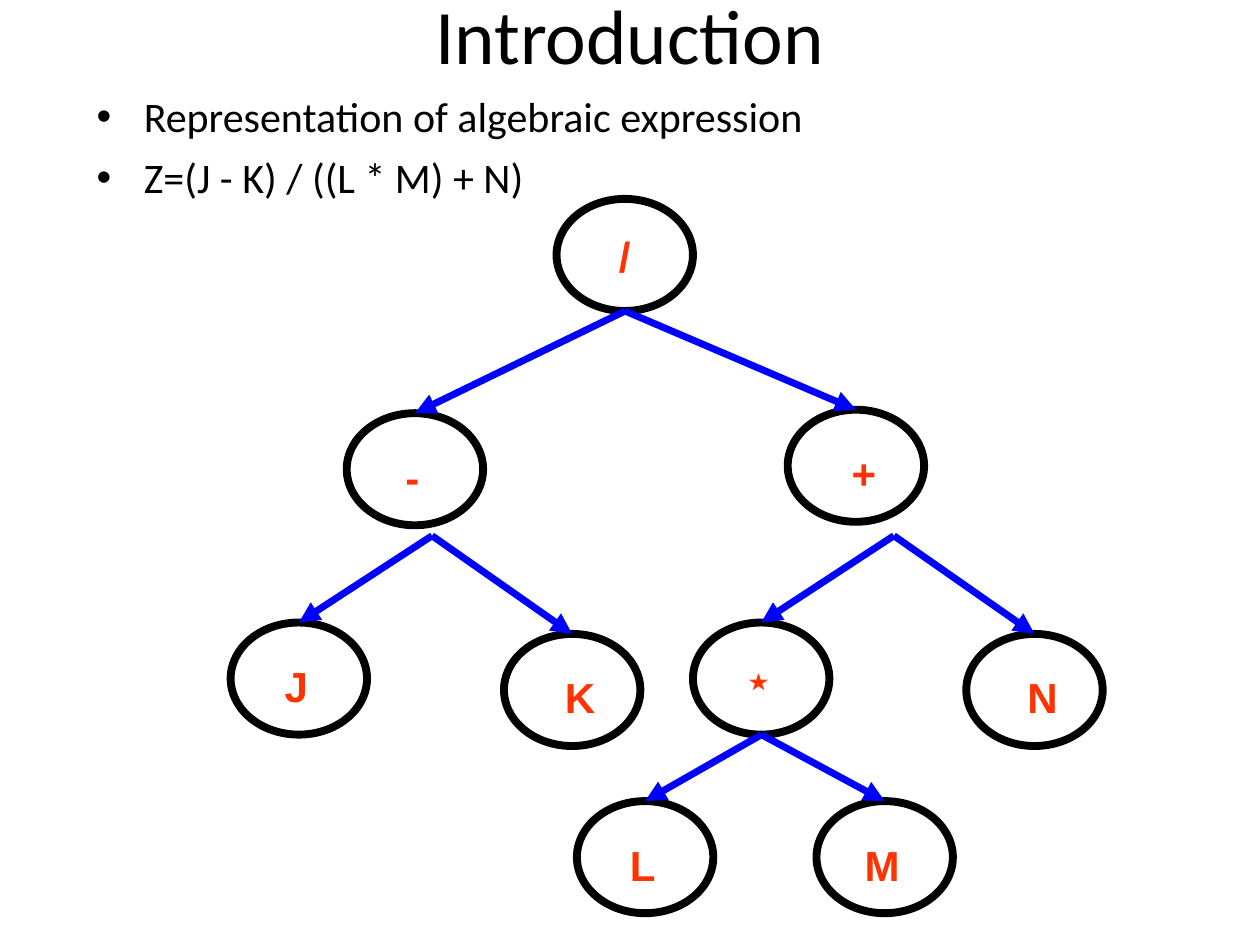
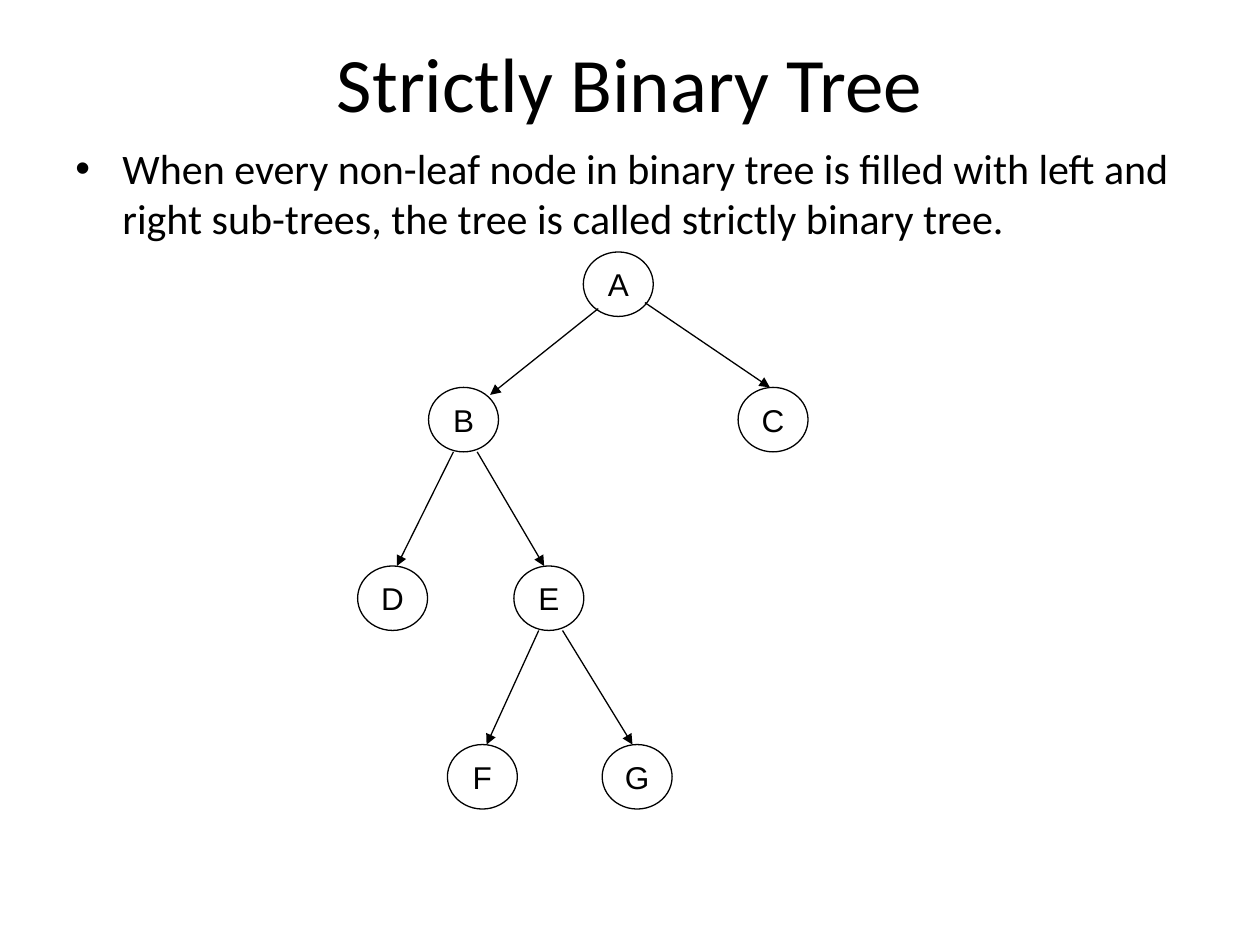
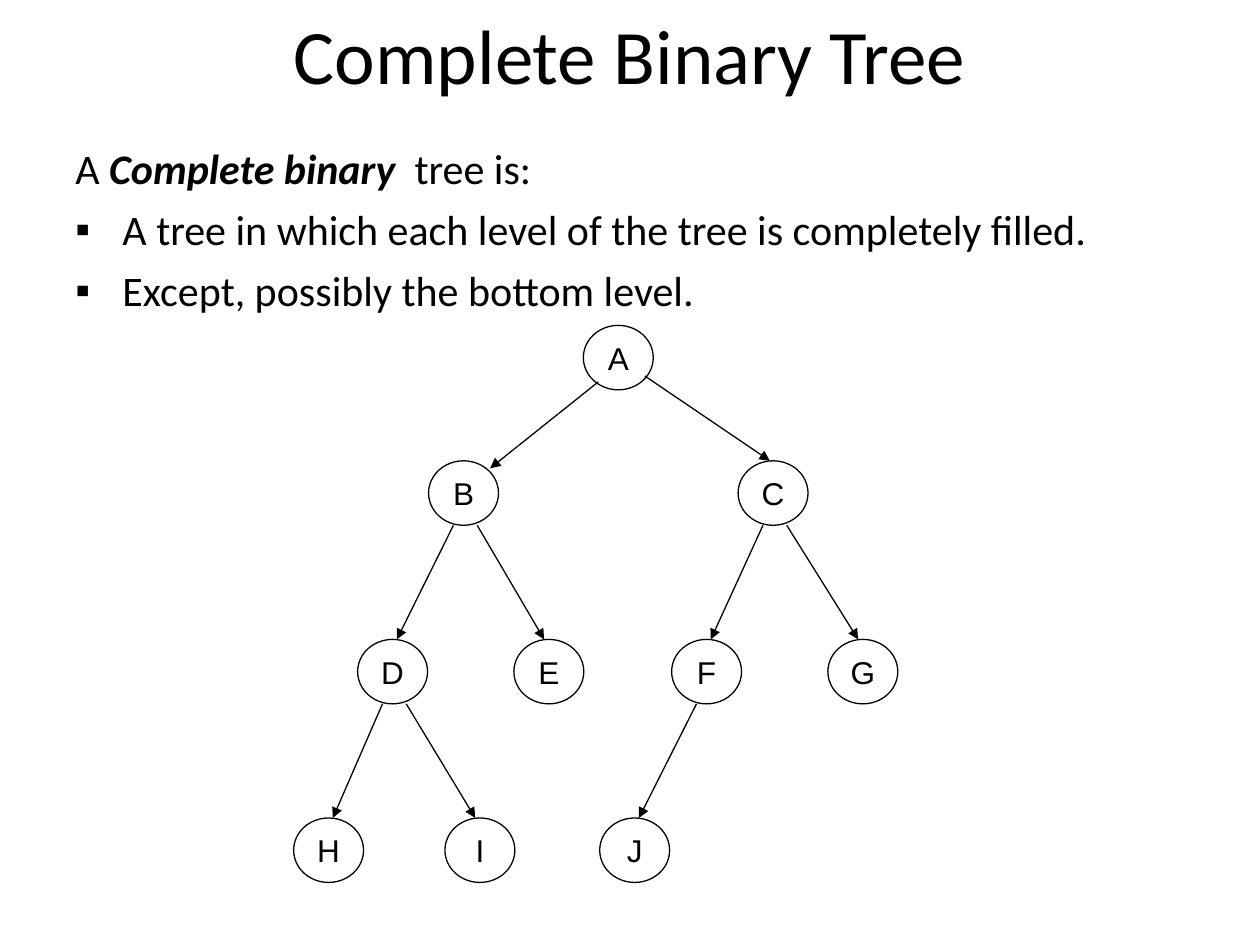
from lxml import etree
from pptx import Presentation
from pptx import util as u
from pptx.dml.color import RGBColor
from pptx.enum import shapes, text
from pptx.oxml import ns

Cm, Pt = u.Cm, u.Pt
rgb = RGBColor.from_string
BLACK, BLUE, RED = "000000", "0000FF", "FF3300"
CENTER, MIDDLE = text.PP_ALIGN.CENTER, text.MSO_ANCHOR.MIDDLE
OVAL = shapes.MSO_SHAPE.OVAL


def write(p, words, size=24, font="Calibri", color=BLACK, bold=False, italic=False, align=None):
    p.alignment = align
    r = p.add_run()
    r.text = words
    r.font.size, r.font.name = Pt(size), font
    r.font.bold, r.font.italic = bold, italic
    r.font.color.rgb = rgb(color)


def arrow(s, x1, y1, x2, y2, color=BLACK, width=0.75):
    c = s.shapes.add_connector(shapes.MSO_CONNECTOR.STRAIGHT, Cm(x1), Cm(y1), Cm(x2), Cm(y2))
    c.line.color.rgb = rgb(color)
    c.line.width = Pt(width)
    etree.SubElement(c.line._get_or_add_ln(), ns.qn("a:tailEnd"), type="triangle")
    etree.SubElement(c._element.spPr, ns.qn("a:effectLst"))


prs = Presentation()
prs.slide_width, prs.slide_height = Cm(25.4), Cm(19.05)

pages = [
    ("Introduction", 0, 1.35, 1.7, 1.7, [
        ("•", [("Representation of algebraic expression", False)]),
        ("•", [("Z=(J - K) / ((L * M) + N)", False)])]),
    ("Strictly Binary Tree", 0.76, 1.78, 1.27, 2.75, [
        ("•", [("When every non-leaf node in binary tree is filled with left and right "
                "sub-trees, the tree is called strictly binary tree.", False)])]),
    ("Complete Binary Tree", 0.2, 1.78, 1.27, 2.75, [
        (None, [("A ", False), ("Complete binary ", True), (" tree is:", False)]),
        ("▪", [("A tree in which each level of the tree is completely filled.", False)]),
        ("▪", [("Except, possibly the bottom level.", False)])]),
]

for title, top, height, body_left, body_top, body in pages:
    s = prs.slides.add_slide(prs.slide_layouts[6])
    tf = s.shapes.add_textbox(Cm(1.27), Cm(top), Cm(22.86), Cm(height)).text_frame
    tf.word_wrap = True
    tf.vertical_anchor = MIDDLE
    write(tf.paragraphs[0], title, size=44, align=CENTER)

    tf = s.shapes.add_textbox(Cm(body_left), Cm(body_top), Cm(22.86), Cm(17.02 - body_top)).text_frame
    tf.word_wrap = True
    for i, (bullet, runs) in enumerate(body):
        p = tf.add_paragraph() if i else tf.paragraphs[0]
        p.space_before = Pt(6)
        for words, strong in runs:
            write(p, words, bold=strong, italic=strong)
        pPr = p._p.get_or_add_pPr()
        pPr.set("marL", str(Cm(0.95)))
        pPr.set("indent", str(-Cm(0.95)))
        if bullet:
            etree.SubElement(pPr, ns.qn("a:buFont"), typeface="Arial")
            etree.SubElement(pPr, ns.qn("a:buChar"), char=bullet)
        else:
            etree.SubElement(pPr, ns.qn("a:buNone"))

s = prs.slides[0]
node_w, node_h = 2.75, 2.26
narrow, wide = (0.64, 0.64, 1.37), (0.43, 0.63, 2.21)
expression = {
    "/": (11.22, 4.01, (0.41, 0.51, 1.93)),
    "-": (6.99, 8.33, narrow),
    "+": (15.88, 8.26, wide),
    "J": (4.65, 12.55, narrow),
    "K": (10.16, 12.78, wide),
    "٭": (13.97, 12.55, narrow),
    "N": (19.48, 12.78, wide),
    "L": (11.63, 16.15, narrow),
    "M": (16.46, 16.15, narrow),
}
for label, (x, y, (dx, dy, w)) in expression.items():
    sp = s.shapes.add_shape(OVAL, Cm(x), Cm(y), Cm(node_w), Cm(node_h))
    sp.shadow.inherit = False
    sp.fill.background()
    sp.line.color.rgb = rgb(BLACK)
    sp.line.width = Pt(4.5)
    tf = s.shapes.add_textbox(Cm(x + dx), Cm(y + dy), Cm(w), Cm(1.27)).text_frame
    tf.word_wrap = True
    write(tf.paragraphs[0], label, font="Arial", color=RED, bold=True, align=CENTER)

for x, y, children in [(12.6, 6.27, "-+"), (8.71, 10.8, "JK"), (18.02, 10.8, "٭N"), (15.35, 14.81, "LM")]:
    for child in children:
        child_x, child_y, _ = expression[child]
        arrow(s, x, y, child_x + node_w / 2, child_y, color=BLUE, width=4)

node_w, node_h = 1.41, 1.3
root_left, root_right = (0.3, 1.14, 1.24, 0.15), (1.24, 1.02, 0.64, 0)
left, right = (0.5, node_h, 0.79, 0), (0.98, node_h, 0.61, 0)
upper = {"A": (11.76, 0), "B": (8.64, 1), "C": (14.88, 1), "D": (7.21, 2), "E": (10.36, 2)}
trees = [
    (1, 5.08, {"F": (9.02, 3), "G": (12.14, 3)}, ["BD", "EF"], ["BE", "EG"]),
    (2, 6.56, {"F": (13.54, 2), "G": (16.69, 2), "H": (5.92, 3), "I": (8.97, 3), "J": (12.09, 3)},
     ["BD", "CF", "DH", "FJ"], ["BE", "CG", "DI"]),
]
for page, top, lower, left_edges, right_edges in trees:
    s = prs.slides[page]
    rows = [top, top + 2.73, top + 6.33, top + 9.93]
    nodes = {**upper, **lower}
    for label, (x, level) in nodes.items():
        sp = s.shapes.add_shape(OVAL, Cm(x), Cm(rows[level]), Cm(node_w), Cm(node_h))
        sp.shadow.inherit = False
        sp.fill.background()
        sp.line.color.rgb = rgb(BLACK)
        sp.line.width = Pt(0.75)
        tf = sp.text_frame
        tf.word_wrap = False
        tf.vertical_anchor = MIDDLE
        write(tf.paragraphs[0], label, size=18, font="Arial", align=CENTER)

    for edges, ends in [(["AB"], root_left), (["AC"], root_right), (left_edges, left), (right_edges, right)]:
        for parent, child in edges:
            (x1, level1), (x2, level2) = nodes[parent], nodes[child]
            dx1, dy1, dx2, dy2 = ends
            arrow(s, x1 + dx1, rows[level1] + dy1, x2 + dx2, rows[level2] + dy2)

prs.save("out.pptx")
